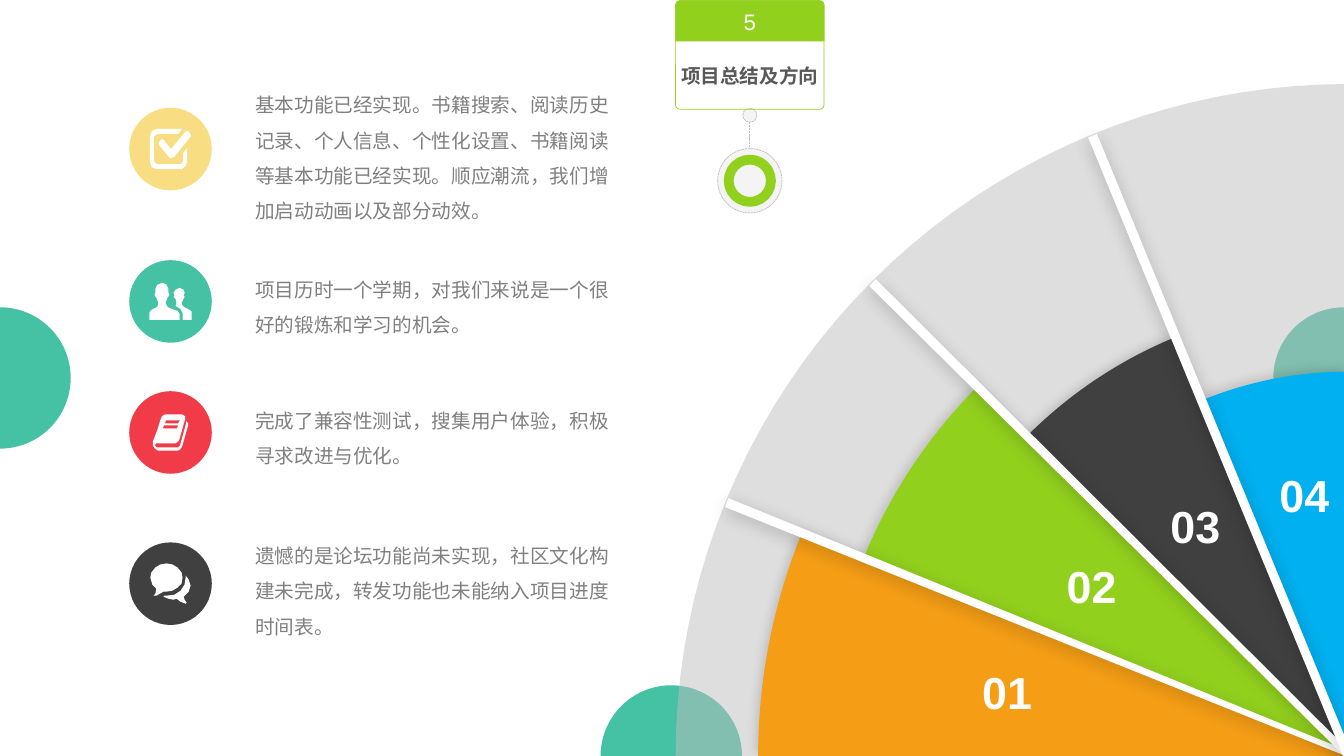
from math import cos, radians, sin

from lxml import etree
from pptx import Presentation
from pptx.dml.color import RGBColor
from pptx.enum.dml import MSO_LINE
from pptx.enum.shapes import MSO_CONNECTOR, MSO_SHAPE
from pptx.enum.text import MSO_ANCHOR, MSO_AUTO_SIZE, PP_ALIGN
from pptx.oxml.ns import qn
from pptx.util import Pt

OVAL = MSO_SHAPE.OVAL
ROUNDED = MSO_SHAPE.ROUNDED_RECTANGLE
ROUNDED_TOP = MSO_SHAPE.ROUND_2_SAME_RECTANGLE
STRAIGHT = MSO_CONNECTOR.STRAIGHT
DOTTED = MSO_LINE.SQUARE_DOT
CENTER = PP_ALIGN.CENTER
MIDDLE = MSO_ANCHOR.MIDDLE
NO_FIT = MSO_AUTO_SIZE.NONE

TEAL = RGBColor(0x45, 0xC1, 0xA4)
RED = RGBColor(0xF2, 0x3B, 0x48)
YELLOW = RGBColor(0xF8, 0xDD, 0x82)
ORANGE = RGBColor(0xF4, 0x9D, 0x15)
GREEN = RGBColor(0x92, 0xD0, 0x1E)
BLUE = RGBColor(0x00, 0xB0, 0xF0)
DARK = RGBColor(0x40, 0x40, 0x40)
TITLE_GRAY = RGBColor(0x59, 0x59, 0x59)
TEXT_GRAY = RGBColor(0x80, 0x80, 0x80)
SILVER = RGBColor(0xBF, 0xBF, 0xBF)
PALE = RGBColor(0xF4, 0xF4, 0xF4)
WHITE = RGBColor(0xFF, 0xFF, 0xFF)

FONT = "Arial"
SPOKE_ANGLES = (22.2, 44.9, 67.65)
WEDGE_SHADOW = (13, 7, 3, 225)
SPOKE_SHADOW = (21, 12, 3, 90)
# label, colour, radius, label radius, label angle
WEDGES = [
    ("01", ORANGE, 421, 247.5, 10.7),
    ("02", GREEN, 373.5, 219.5, 33.6),
    ("03", DARK, 323.5, 197.5, 56.6),
    ("04", BLUE, 274.5, 189, 80.6),
]

# Icon outlines in hundredths of an inch
CHECK = [
    [(33, 24), (37, 19), (37, 32), (36, 36), (32, 40), (7, 40), (2, 38), (0, 32), (0, 8), (2, 2),
     (7, 0), (32, 0), (28, 5), (7, 5), (4, 8), (4, 32), (7, 35), (31, 35), (33, 32)],
    [(40, 5), (41, 7), (25, 27), (22, 29), (20, 29), (9, 16), (9, 13), (12, 10), (14, 11),
     (21, 20), (36, 2), (38, 2)],
]
PEOPLE = [
    [(22, 26), (18, 24), (16, 20), (18, 15), (20, 12), (19, 10), (19, 6), (17, 2), (13, 0), (8, 2),
     (6, 6), (6, 10), (5, 12), (7, 15), (9, 20), (8, 24), (4, 26), (1, 28), (0, 30), (0, 37),
     (30, 37), (30, 31), (28, 28)],
    [(42, 37), (42, 29), (40, 27), (36, 25), (33, 23), (32, 20), (34, 16), (35, 14), (34, 13),
     (35, 10), (34, 7), (30, 5), (26, 7), (24, 10), (25, 13), (24, 14), (26, 16), (27, 20),
     (26, 23), (31, 26), (33, 30), (33, 37)],
]
BOOK = [
    [(33, 7), (35, 9), (35, 11), (29, 32), (27, 35), (25, 36), (5, 36), (2, 34), (0, 31), (0, 27),
     (2, 22), (5, 14), (7, 7), (9, 2), (12, 0), (29, 0), (32, 2), (32, 5), (26, 26), (24, 28),
     (22, 29), (3, 29), (2, 31), (4, 33), (25, 33), (27, 31), (33, 9)],
    [(10, 14), (24, 14), (25, 11), (11, 11)],
    [(12, 9), (25, 9), (27, 6), (13, 6)],
]
CHAT = [
    [(32, 14), (31, 20), (27, 24), (22, 27), (16, 28), (13, 28), (6, 32), (3, 32), (5, 30), (6, 25),
     (2, 21), (0, 14), (1, 9), (5, 4), (10, 1), (16, 0), (22, 1), (27, 4), (31, 9)],
    [(40, 22), (38, 28), (33, 33), (34, 36), (36, 39), (35, 40), (30, 38), (26, 35), (23, 36),
     (18, 35), (13, 33), (14, 32), (16, 32), (24, 31), (30, 27), (34, 21), (35, 14), (35, 12),
     (38, 16)],
]
# icon, colour, circle top, text top, text height, text
SUMMARY = [
    (CHECK, YELLOW, 77, 58.3, 123.8, "基本功能已经实现。书籍搜索、阅读历史记录、个人信息、个性化设置、书籍阅读等基本功能已经实现。顺应潮流，我们增加启动动画以及部分动效。"),
    (PEOPLE, TEAL, 185.8, 190.1, 51.1, "项目历时一个学期，对我们来说是一个很好的锻炼和学习的机会。"),
    (BOOK, RED, 279.4, 283.7, 51.1, "完成了兼容性测试，搜集用户体验，积极寻求改进与优化。"),
    (CHAT, DARK, 387.4, 380.2, 76.3, "遗憾的是论坛功能尚未实现，社区文化构建未完成，转发功能也未能纳入项目进度时间表。"),
]


def paint(shape, fill=None, line=None, line_width=0.5, dash=None):
    shape.shadow.inherit = False
    if fill is None:
        shape.fill.background()
    else:
        shape.fill.solid()
        shape.fill.fore_color.rgb = fill
    if line is None:
        shape.line.fill.background()
    else:
        shape.line.color.rgb = line
        shape.line.width = Pt(line_width)
        shape.line.dash_style = dash
    return shape


def add_preset(slide, kind, left, top, width, height, **look):
    return paint(slide.shapes.add_shape(kind, Pt(left), Pt(top), Pt(width), Pt(height)), **look)


def add_circle(slide, center_x, center_y, size, **look):
    return add_preset(slide, OVAL, center_x - size / 2, center_y - size / 2, size, size, **look)


def add_outline(slide, contours, fill):
    """Add one filled freeform from closed contours given in points."""
    contours = [[(Pt(x), Pt(y)) for x, y in contour] for contour in contours]
    builder = slide.shapes.build_freeform(*contours[0][0])
    builder.add_line_segments(contours[0][1:], close=True)
    for contour in contours[1:]:
        builder.move_to(*contour[0])
        builder.add_line_segments(contour[1:], close=True)
    return paint(builder.convert_to_shape(), fill)


def add_shadow(shape, opacity, blur, distance, direction):
    effects = shape._element.spPr.find(qn("a:effectLst"))
    shadow = etree.SubElement(effects, qn("a:outerShdw"), blurRad=str(Pt(blur)),
                              dist=str(Pt(distance)), dir=str(direction * 60000),
                              algn="ctr", rotWithShape="0")
    color = etree.SubElement(shadow, qn("a:srgbClr"), val="000000")
    etree.SubElement(color, qn("a:alpha"), val=str(opacity * 1000))


def set_text(frame, text, size, color, bold=False, align=None, spacing=None):
    frame.text = text
    paragraph = frame.paragraphs[0]
    paragraph.alignment = align
    paragraph.line_spacing = spacing
    font = paragraph.runs[0].font
    font.name, font.size, font.bold = FONT, Pt(size), bold
    font.color.rgb = color


def add_text(slide, left, top, width, height, text, size, color, wrap=True, **style):
    frame = slide.shapes.add_textbox(Pt(left), Pt(top), Pt(width), Pt(height)).text_frame
    frame.margin_left = frame.margin_right = frame.margin_top = frame.margin_bottom = 0
    frame.word_wrap = wrap
    set_text(frame, text, size, color, **style)
    return frame


def add_fan(slide, hub_x, hub_y, radius):
    def polar(distance, angle):
        return hub_x - distance * cos(radians(angle)), hub_y - distance * sin(radians(angle))

    def sector(distance, start, end):
        steps = 40
        arc = [polar(distance, start + (end - start) * i / steps) for i in range(steps + 1)]
        return [[(hub_x, hub_y)] + arc]

    backdrop = add_outline(slide, sector(radius, 0, 90), SILVER)
    color = backdrop._element.spPr.find(qn("a:solidFill"))[0]
    etree.SubElement(color, qn("a:alpha"), val="50000")

    bounds = (0,) + SPOKE_ANGLES + (90,)
    for (label, fill, reach, label_reach, label_angle), start, end in zip(WEDGES, bounds, bounds[1:]):
        add_shadow(add_outline(slide, sector(reach, start, end), fill), *WEDGE_SHADOW)
        x, y = polar(label_reach, label_angle)
        frame = add_text(slide, x - 25, y - 23, 50, 46, label, 32, WHITE,
                         wrap=False, bold=True, align=CENTER)
        frame.vertical_anchor = MIDDLE

    for angle in SPOKE_ANGLES:
        tip_x, tip_y = polar(radius - 1, angle)
        dx, dy = 3.4 * sin(radians(angle)), 3.4 * cos(radians(angle))
        strip = [(tip_x + dx, tip_y - dy), (hub_x + dx, hub_y - dy),
                 (hub_x, hub_y), (hub_x - dx, hub_y), (tip_x - dx, tip_y + dy)]
        add_shadow(add_outline(slide, [strip], WHITE), *SPOKE_SHADOW)


def add_section_card(slide, left, top, width, height):
    middle = left + width / 2
    pin_y, dial_y = top + height + 4.3, top + height + 51.1
    dotted = {"line": SILVER, "dash": DOTTED}
    stem = slide.shapes.add_connector(STRAIGHT, Pt(middle), Pt(pin_y + 5),
                                      Pt(middle), Pt(dial_y - 23))
    stem.line.color.rgb, stem.line.width, stem.line.dash_style = SILVER, Pt(0.5), DOTTED
    etree.SubElement(stem._element.spPr, qn("a:effectLst"))
    add_circle(slide, middle, pin_y, 10, fill=PALE, **dotted)
    add_circle(slide, middle, dial_y, 46, fill=PALE, **dotted)
    add_circle(slide, middle, dial_y, 30.2, fill=PALE, line=GREEN, line_width=7)

    frame = add_preset(slide, ROUNDED, left, top, width, height, line=GREEN)
    frame.adjustments[0] = 0.038
    header = add_preset(slide, ROUNDED_TOP, left, top, width, 28.8, fill=GREEN, line=GREEN)
    header.adjustments[0] = 0.125
    header.text_frame.vertical_anchor = MIDDLE
    set_text(header.text_frame, "5", 16, WHITE, align=CENTER)

    title = slide.shapes.title
    title.left, title.top = Pt(left - 9.4), Pt(top + 41)
    title.width, title.height = Pt(width + 18.8), Pt(24.5)
    title.text_frame.auto_size = NO_FIT
    title.text_frame.vertical_anchor = MIDDLE
    set_text(title.text_frame, "项目总结及方向", 14, TITLE_GRAY, bold=True, align=CENTER)


def add_summary(slide, left, width):
    disc, unit, indent = 59, 0.72, 90
    for icon, color, disc_top, text_top, text_height, text in SUMMARY:
        center_x, center_y = left + disc / 2, disc_top + disc / 2
        add_circle(slide, center_x, center_y, disc, fill=color)
        points = [point for contour in icon for point in contour]
        half_width, half_height = max(x for x, _ in points) / 2, max(y for _, y in points) / 2
        add_outline(slide, [[(center_x + (x - half_width) * unit, center_y + (y - half_height) * unit)
                             for x, y in contour] for contour in icon], WHITE)
        add_text(slide, left + indent, text_top, width - indent, text_height, text, 14,
                 TEXT_GRAY, spacing=1.5)


def main():
    deck = Presentation()
    deck.slide_width, deck.slide_height = Pt(960), Pt(540)
    slide = deck.slides.add_slide(deck.slide_layouts[5])
    for center_x, center_y in ((479.5, 540), (0, 270), (960, 270)):
        add_circle(slide, center_x, center_y, 101, fill=TEAL)
    add_fan(slide, 962.6, 540, 480)
    add_section_card(slide, 482.6, 0.5, 106, 77.5)
    add_summary(slide, 92.3, 347.8)
    deck.save("out.pptx")


if __name__ == "__main__":
    main()
